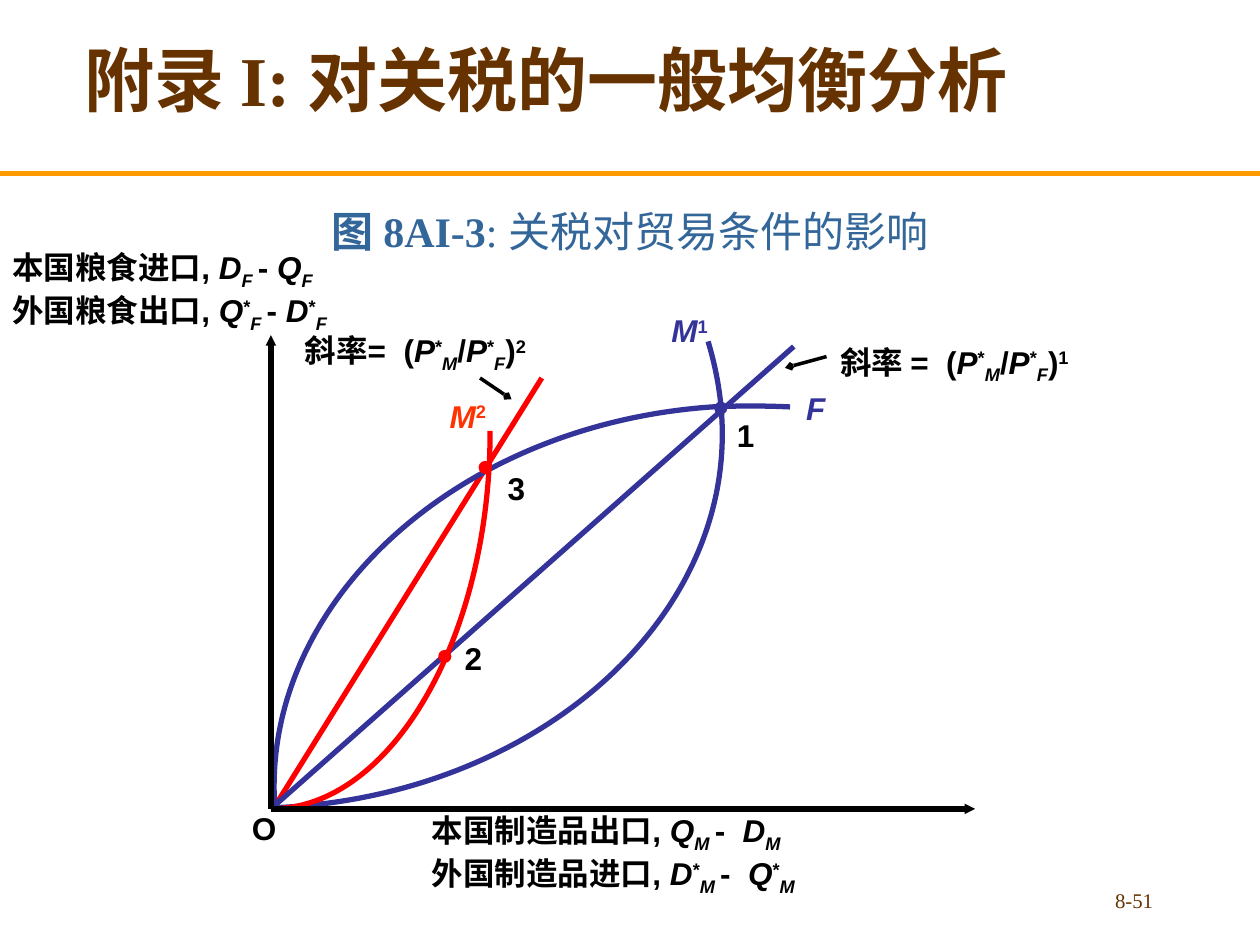
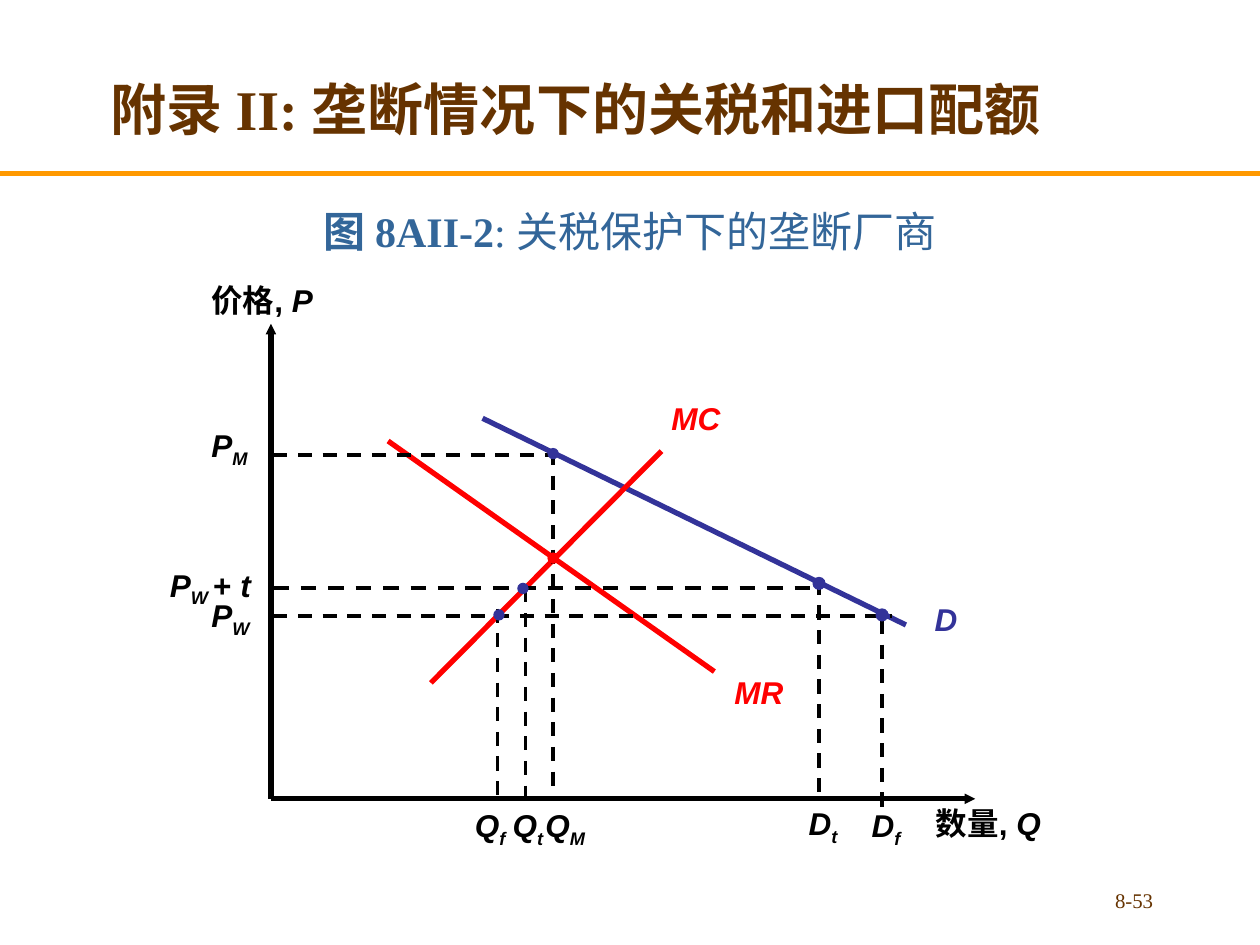
from dataclasses import dataclass

from lxml import etree
from pptx import Presentation
from pptx.dml.color import RGBColor
from pptx.enum.dml import MSO_LINE
from pptx.enum.lang import MSO_LANGUAGE_ID
from pptx.enum.shapes import MSO_CONNECTOR, MSO_SHAPE
from pptx.enum.text import MSO_ANCHOR, MSO_AUTO_SIZE, PP_ALIGN
from pptx.oxml.ns import qn
from pptx.util import Inches, Pt

STRAIGHT = MSO_CONNECTOR.STRAIGHT
ELLIPSE = MSO_SHAPE.OVAL
DASH = MSO_LINE.DASH
LEFT, CENTER, RIGHT = PP_ALIGN.LEFT, PP_ALIGN.CENTER, PP_ALIGN.RIGHT
TOP, MIDDLE, BOTTOM = MSO_ANCHOR.TOP, MSO_ANCHOR.MIDDLE, MSO_ANCHOR.BOTTOM
NO_AUTOFIT = MSO_AUTO_SIZE.NONE
CHINESE = MSO_LANGUAGE_ID.SIMPLIFIED_CHINESE


@dataclass(frozen=True)
class Theme:
    brown: str = "663300"
    orange: str = "FF9900"
    steel: str = "336699"
    blue: str = "333399"
    red: str = "FF0000"
    tomato: str = "FF3300"
    black: str = "000000"
    serif: str = "Times New Roman"
    sans: str = "Arial"
    caption: float = 24
    label: float = 18
    page: float = 11.9
    heavy: float = 3
    thin: float = 2
    dot: float = 0.09


T = Theme()
MARKS = {
    "~": ({"italic": True}, {}),
    "_": ({"italic": True}, {"baseline": "-25000"}),
    "^": ({}, {"baseline": "30000"}),
    ">": ({}, {"spc": "500"}),
}


def add_run(p, text, color, attributes=None, **fmt):
    r = p.add_run()
    r.text = text
    for name, value in {"language_id": CHINESE, **fmt}.items():
        setattr(r.font, name, value)
    r.font.color.rgb = RGBColor.from_string(color)
    for name, value in (attributes or {}).items():
        r.font._element.set(name, value)


def set_frame(tf, wrap=True, anchor=TOP):
    for name, value in {"word_wrap": wrap, "auto_size": NO_AUTOFIT,
                        "vertical_anchor": anchor}.items():
        setattr(tf, name, value)
    return tf


def add_box(s, box, wrap=True, anchor=TOP):
    shape = s.shapes.add_textbox(*(Inches(v) for v in box))
    return set_frame(shape.text_frame, wrap, anchor)


def add_line(s, start, end, color, width, dash=None, head=None):
    line = s.shapes.add_connector(STRAIGHT, *(Inches(v) for v in (*start, *end)))
    line.line.color.rgb = RGBColor.from_string(color)
    line.line.width = Pt(width)
    if dash:
        line.line.dash_style = dash
    if head:
        etree.SubElement(line.line._get_or_add_ln(), qn("a:tailEnd"),
                         type=head, w="sm", len="sm")
    etree.SubElement(line._element.spPr, qn("a:effectLst"))


def bend_segments(shape):
    segments = list(shape._element.iter(qn("a:lnTo")))
    for i in range(0, len(segments), 3):
        bend = etree.Element(qn("a:cubicBezTo"))
        segments[i].addprevious(bend)
        for segment in segments[i:i + 3]:
            bend.append(segment[0])
            segment.getparent().remove(segment)


class Plot:
    """Axes with the origin at the lower left of a box; q runs right, p runs up."""

    def __init__(self, s, box):
        self.s = s
        self.left, top, self.width, self.height = box
        self.base = top + self.height

    def at(self, q, p):
        return self.left + q, self.base - p

    def line(self, start, end, color=T.black, width=T.heavy, **ends):
        add_line(self.s, self.at(*start), self.at(*end), color, width, **ends)

    def axes(self):
        for tip in ((0, self.height), (self.width, 0)):
            self.line((0, 0), tip, head="triangle")

    def curve(self, color, *knots):
        emu = [tuple(Inches(v) for v in self.at(*knot)) for knot in knots]
        builder = self.s.shapes.build_freeform(*emu[0])
        builder.add_line_segments(emu[1:], close=False)
        shape = builder.convert_to_shape()
        bend_segments(shape)
        shape.shadow.inherit = False
        shape.fill.background()
        shape.line.color.rgb = RGBColor.from_string(color)
        shape.line.width = Pt(T.heavy)

    def dot(self, q, p, color=T.blue, outlined=True):
        x, y = self.at(q, p)
        shape = self.s.shapes.add_shape(
            ELLIPSE, Inches(x - T.dot / 2), Inches(y - T.dot / 2),
            Inches(T.dot), Inches(T.dot))
        shape.shadow.inherit = False
        shape.fill.solid()
        shape.fill.fore_color.rgb = RGBColor.from_string(color)
        if outlined:
            shape.line.color.rgb = RGBColor.from_string(color)
            shape.line.width = Pt(1)
        else:
            shape.line.fill.background()

    def label(self, q, p, width, *lines, color=T.black):
        box = (*self.at(q, p), width, 0.02 + 0.38 * len(lines))
        tf = add_box(self.s, box, wrap=width > 1)
        for i, line in enumerate(lines):
            para = tf.add_paragraph() if i else tf.paragraphs[0]
            para.alignment = LEFT
            for part in line.split("|"):
                fmt, attributes = MARKS.get(part[0], ({}, {}))
                add_run(para, part[1:] if part[0] in MARKS else part, color,
                        attributes, name=T.sans, size=Pt(T.label), bold=True, **fmt)


def add_page(prs, title, title_box, title_size, figure, caption, page):
    s = prs.slides.add_slide(prs.slide_layouts[5])
    add_line(s, (0, 1.38), (10, 1.38), T.orange, T.heavy)

    sp = s.shapes.title
    for name, value in zip(("left", "top", "width", "height"), title_box):
        setattr(sp, name, Inches(value))
    p = set_frame(sp.text_frame, anchor=MIDDLE).paragraphs[0]
    p.alignment = CENTER
    add_run(p, title, T.brown, name=T.serif, size=Pt(title_size), bold=True)

    p = add_box(s, (0, 1.41, 10, 0.67), anchor=BOTTOM).paragraphs[0]
    p.alignment = CENTER
    for text, bold in ((figure, True), (": " + caption, False)):
        add_run(p, text, T.steel, name=T.serif, size=Pt(T.caption), bold=bold)

    p = add_box(s, (7.17, 7, 2.08, 0.33)).paragraphs[0]
    p.alignment = RIGHT
    add_run(p, page, T.brown, name=T.serif, size=Pt(T.page))
    return s


def draw_offer_curves(s, box):
    plot = Plot(s, box)
    plot.line((0.05, 0.05), (2.15, 3.42), T.red)
    plot.curve(T.blue, (4.12, 3.19), (3.91, 3.2), (3.7, 3.2), (3.5, 3.19),
               (1.48, 3.05), (-0.07, 1.64), (0.03, 0.03))
    plot.curve(T.blue, (0.05, 0.01), (2.08, 0.1), (3.66, 1.48), (3.58, 3.09),
               (3.57, 3.3), (3.53, 3.51), (3.47, 3.71))
    plot.line((0, 0), (4.15, 3.67), T.blue)
    plot.curve(T.red, (0, 0), (0.95, 0), (1.74, 1.35), (1.74, 3))
    plot.axes()

    for q, p, width, name, color in ((4.15, 3.38, 0.35, "~F", T.blue),
                                     (3.08, 4, 0.49, "~M|^1", T.blue),
                                     (1.32, 3.32, 0.49, "~M|^2", T.tomato)):
        plot.label(q, p, width, name, color=color)

    ratio = "|> |(|~P|^*|_M|/|~P|^*|_F|)|^"
    for q, p, lead, number, start, end in (
            (4.42, 3.75, "斜率 =", "1", (4.41, 3.59), (4.08, 3.5)),
            (0.17, 3.84, "斜率=", "2", (1.66, 3.42), (1.91, 3.25))):
        plot.label(q, p, 2.2, lead + ratio + number)
        plot.line(start, end, width=T.thin, head="arrow")

    for q, p, color, number, label_at in (
            (3.57, 3.18, T.blue, "1", (3.6, 3.17)),
            (1.38, 1.21, T.red, "2", (1.44, 1.4)),
            (1.7, 2.71, T.red, "3", (1.78, 2.75))):
        plot.dot(q, p, color)
        plot.label(*label_at, 0.34, number)

    plot.label(1.18, 0.03, 5.42, "本国制造品出口, |~Q|_M |-|> |~D|_M",
               "外国制造品进口, |~D|^*|_M |-|> |~Q|^*|_M")
    plot.label(-2.15, 4.5, 4.17, "本国粮食进口, |~D|_F |-|~ Q|_F",
               "外国粮食出口, |~Q|^*|_F |- |~D|^*|_F")
    plot.label(-0.25, 0.05, 0.39, "O")


def draw_monopoly(s, box):
    plot = Plot(s, box)
    plot.axes()
    for start, end, color, name, label_at, width in (
            ((1.68, 3.02), (5.04, 1.38), T.blue, "~D", (5.17, 1.63), 0.38),
            ((3.1, 2.76), (1.27, 0.92), T.red, "~MC", (3.08, 3.22), 0.59),
            ((0.93, 2.84), (3.52, 1.01), T.red, "~MR", (3.58, 1.05), 0.59)):
        plot.line(start, end, color)
        plot.label(*label_at, width, name, color=color)

    for price, reach, weight in ((2.73, 2.26, 2), (1.67, 4.35, 2.25), (1.45, 4.93, 2)):
        plot.line((0.02, price), (reach, price), width=weight, dash=DASH)
    for quantity, top, foot in ((1.8, 1.51, 0.01), (2.02, 1.67, 0), (2.24, 2.76, 0.01),
                                (4.35, 1.73, -0.01), (4.85, 1.42, -0.08)):
        plot.line((quantity, top), (quantity, foot), width=T.thin, dash=DASH)

    plot.dot(2.24, 1.91, T.red, outlined=False)
    for q, p in ((2.24, 2.74), (1.81, 1.46), (2, 1.67)):
        plot.dot(q, p, outlined=False)
    for q, p in ((4.35, 1.71), (4.85, 1.46)):
        plot.dot(q, p)

    for q, p, width, text in (
            (-0.57, 4.16, 1.17, "价格, |~P"), (5.18, 0.01, 1.58, "数量, |~Q"),
            (-0.57, 3.01, 0.5, "~P|_M"), (-0.9, 1.9, 1.17, "~P|_W |+|~ t"),
            (-0.57, 1.66, 0.53, "~P|_W"), (1.52, -0.01, 0.44, "~Q|_f"),
            (1.82, -0.01, 0.44, "~Q|_t"), (2.08, -0.01, 0.51, "~Q|_M"),
            (4.17, 0.01, 0.43, "~D|_t"), (4.67, -0.01, 0.43, "~D|_f")):
        plot.label(q, p, width, text)


def main():
    prs = Presentation()
    prs.slide_width, prs.slide_height = Inches(10), Inches(7.5)

    s = add_page(prs, "附录 I: 对关税的一般均衡分析", (0.08, 0, 8.5, 1.25), 40,
                 "图 8AI-3", "关税对贸易条件的影响", "8-51")
    draw_offer_curves(s, (2.15, 2.66, 5.59, 3.76))

    s = add_page(prs, "附录 II: 垄断情况下的关税和进口配额", (0.32, 0.23, 8.5, 1.25), 32,
                 "图 8AII-2", "关税保护下的垄断厂商", "8-53")
    draw_monopoly(s, (2.15, 2.57, 5.59, 3.77))

    prs.save("out.pptx")


if __name__ == "__main__":
    main()
